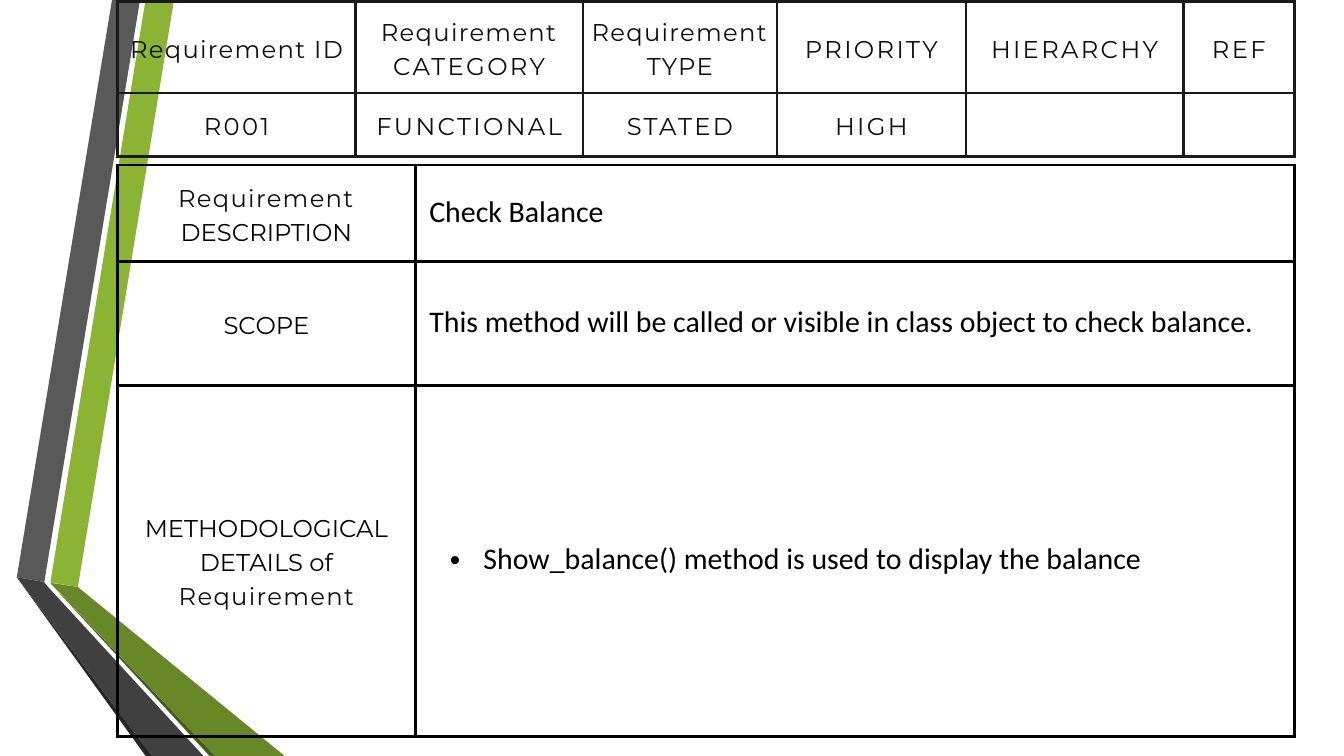
"""Build a requirement sheet slide with two bordered tables and a ribbon edge."""
import pptx
import pptx.dml.color
import pptx.enum.text
import pptx.oxml
import pptx.oxml.ns
import pptx.util
from lxml import etree

Pt = pptx.util.Pt
RGBColor = pptx.dml.color.RGBColor
PP_ALIGN = pptx.enum.text.PP_ALIGN

BLACK = RGBColor(0x00, 0x00, 0x00)
NEAR_BLACK = RGBColor(0x01, 0x01, 0x01)
INK = RGBColor(0x10, 0x0F, 0x0D)
BORDER = RGBColor(0x1A, 0x1A, 0x1A)
LIME = RGBColor(0x8B, 0xB4, 0x34)
GREEN = RGBColor(0x68, 0x87, 0x27)
DARK_GREEN = RGBColor(0x46, 0x5A, 0x1A)
GREY = RGBColor(0x59, 0x59, 0x59)
DARK_GREY = RGBColor(0x40, 0x40, 0x40)
CHARCOAL = RGBColor(0x26, 0x26, 0x26)

RIBBONS = [
    (LIME, [(54, 624), (83.5, 629), (186.5, 0), (156, 0)]),
    (GREY, [(150, 0), (120, 0), (18, 618.5), (47.5, 623.5)]),
    (CHARCOAL, [(18, 618.5), (156, 810), (163, 810)]),
    (DARK_GREEN, [(54, 625), (224.5, 810), (230.5, 810)]),
    (GREEN, [(54, 624.5), (230.5, 810), (305, 810), (83.5, 629)]),
    (DARK_GREY, [(218, 810), (52.5, 630), (47, 623.5), (18, 618.5), (163, 810)]),
]

LABEL = {"name": "Montserrat", "size": Pt(26)}
BODY = {"name": "Calibri", "size": Pt(32)}
MIXED = (LABEL, INK, 1.4)
CAPITALS = (LABEL, INK, 2.5)
HEADING = (LABEL, NEAR_BLACK, 0)
ANSWER = (BODY, BLACK, 0)

SUMMARY = [
    [
        [("Requirement ID", MIXED)],
        [("Requirement ", MIXED), ("CATEGORY", CAPITALS)],
        [("Requirement TYPE", MIXED)],
        [("PRIORITY", CAPITALS)],
        [("HIERARCHY", CAPITALS)],
        [("REF", CAPITALS)],
    ],
    [[(text, CAPITALS)] for text in ("R001", "FUNCTIONAL", "STATED", "HIGH")] + [[], []],
]
DETAILS = [
    [[("Requirement ", MIXED), ("DESCRIPTION", HEADING)], [("Check Balance", ANSWER)]],
    [
        [("SCOPE", HEADING)],
        [("This method will be called or visible in class object to check balance.", ANSWER)],
    ],
    [
        [("METHODOLOGICAL DETAILS of ", HEADING), ("Requirement", MIXED)],
        [("Show_balance() method is used to display the balance", ANSWER)],
    ],
]


class SlideBuilder:
    """Hold the table style and the current slide."""

    line_spacing = Pt(36.4)
    border_width = Pt(3)

    def __init__(self, slide):
        self.slide = slide

    def ribbon(self, color, points):
        corners = [(Pt(x), Pt(y)) for x, y in points]
        builder = self.slide.shapes.build_freeform(*corners[0])
        builder.add_line_segments(corners[1:], close=True)
        shape = builder.convert_to_shape()
        shape.shadow.inherit = False
        shape.fill.solid()
        shape.fill.fore_color.rgb = color
        shape.line.fill.background()

    def table(self, left, top, widths, heights, rows, margin, border):
        frame = self.slide.shapes.add_table(
            len(heights), len(widths), Pt(left), Pt(top), Pt(sum(widths)), Pt(sum(heights))
        )
        table = frame.table
        table.first_row = table.horz_banding = False
        for column, width in zip(table.columns, widths):
            column.width = Pt(width)
        for row, height in zip(table.rows, heights):
            row.height = Pt(height)
        for row, contents in zip(table.rows, rows):
            for cell, runs in zip(row.cells, contents):
                self.cell(cell, runs, margin, border)
        return table

    def cell(self, cell, runs, margin, border):
        style = {"vertical_anchor": pptx.enum.text.MSO_ANCHOR.MIDDLE}
        for side in ("left", "right", "top", "bottom"):
            style[f"margin_{side}"] = Pt(margin)
        for name, value in style.items():
            setattr(cell, name, value)
        self.borders(cell, border)
        cell.fill.background()
        paragraph = cell.text_frame.paragraphs[0]
        paragraph.line_spacing = self.line_spacing
        is_body = any(style[0] is BODY for _, style in runs)
        paragraph.alignment = PP_ALIGN.LEFT if is_body else PP_ALIGN.CENTER
        for text, (font, color, spacing) in runs:
            run = paragraph.add_run()
            run.text = text
            for name, value in font.items():
                setattr(run.font, name, value)
            run.font.color.rgb = color
            run._r.get_or_add_rPr().set("spc", str(round(spacing * 100)))

    def borders(self, cell, color):
        properties = cell._tc.get_or_add_tcPr()
        for side in ("lnL", "lnR", "lnT", "lnB"):
            properties.append(pptx.oxml.parse_xml(
                f'<a:{side} {pptx.oxml.ns.nsdecls("a")} w="{self.border_width}">'
                f'<a:solidFill><a:srgbClr val="{color}"/></a:solidFill></a:{side}>'
            ))

    def bullet(self, paragraph, left, hanging):
        properties = paragraph._p.get_or_add_pPr()
        properties.set("marL", str(Pt(left)))
        properties.set("indent", str(-Pt(hanging)))
        qn = pptx.oxml.ns.qn
        etree.SubElement(properties, qn("a:buFont"), typeface="Arial")
        etree.SubElement(properties, qn("a:buChar"), char="•")


def main():
    presentation = pptx.Presentation()
    presentation.slide_width = Pt(1440)
    presentation.slide_height = Pt(810)
    builder = SlideBuilder(presentation.slides.add_slide(presentation.slide_layouts[6]))
    for color, points in RIBBONS:
        builder.ribbon(color, points)
    builder.table(
        126, 1.5, [255, 243.5, 208, 202.5, 233, 119], [98, 68], SUMMARY, 8.5, BORDER
    )
    details = builder.table(126, 177, [319, 942], [103, 133, 376], DETAILS, 15, BLACK)
    builder.bullet(details.cell(2, 1).text_frame.paragraphs[0], 58, 36)
    presentation.save("out.pptx")


if __name__ == "__main__":
    main()
